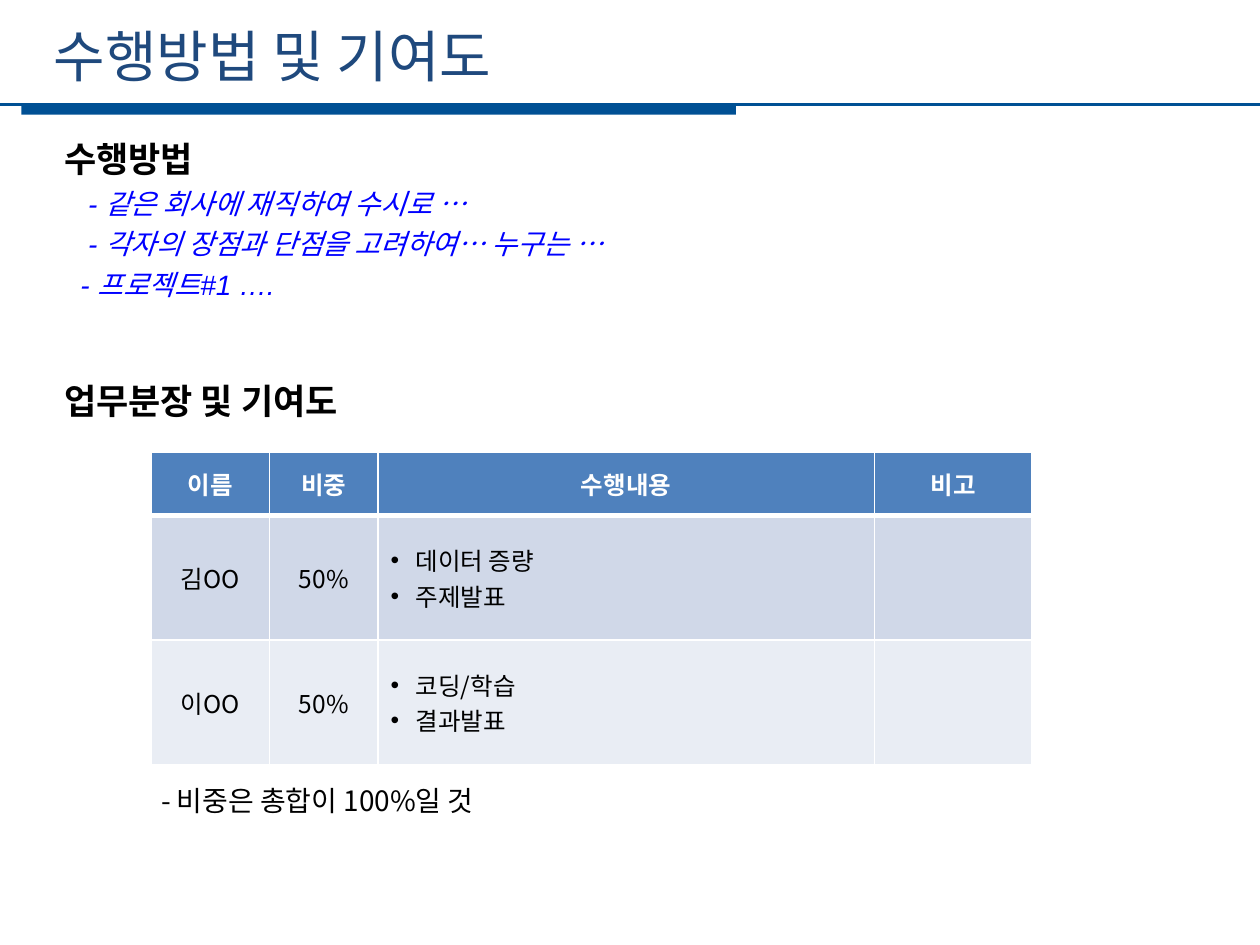
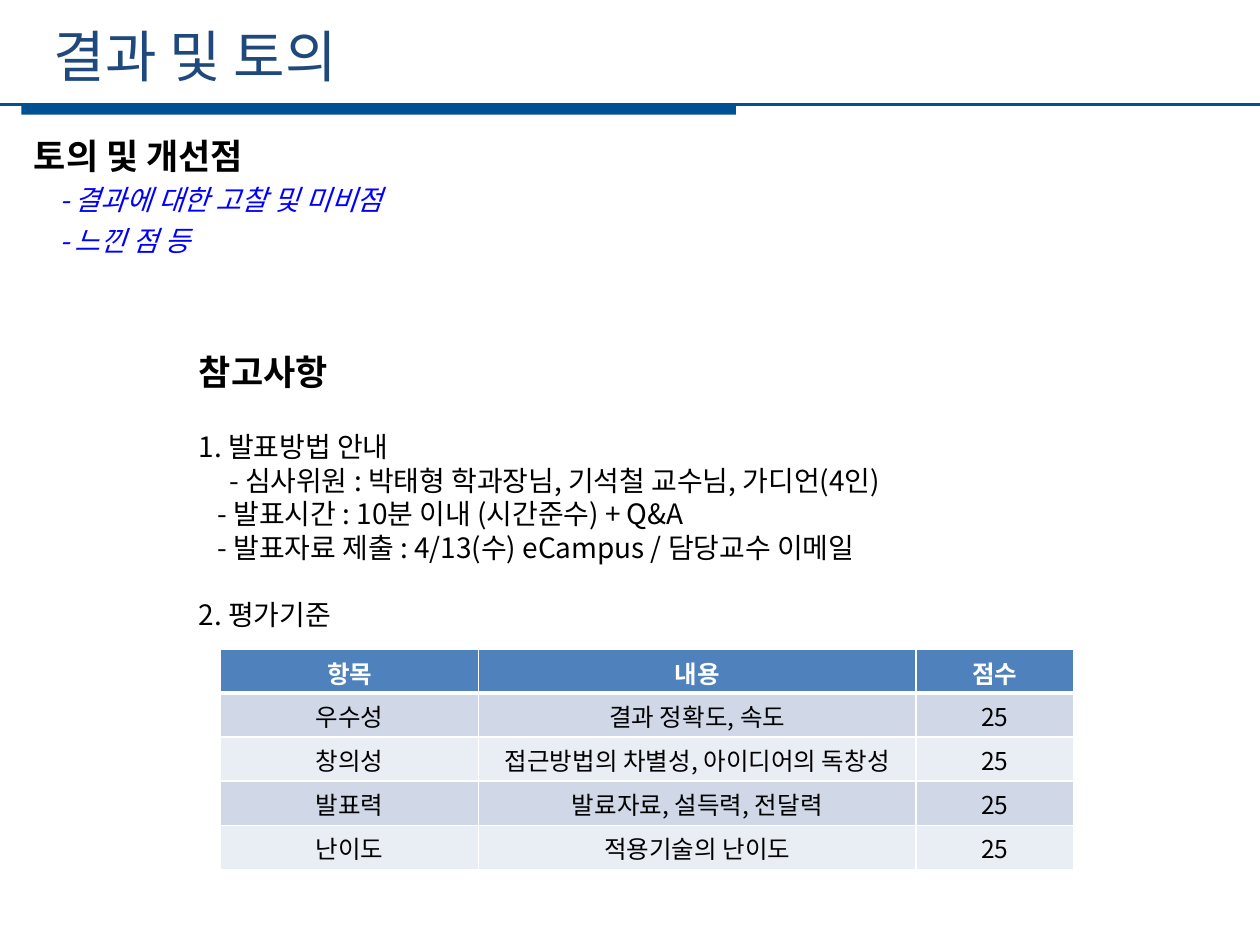
from lxml.etree import SubElement
from pptx import Presentation
from pptx.dml.color import RGBColor
from pptx.enum.shapes import MSO_CONNECTOR, MSO_SHAPE
from pptx.enum.text import MSO_ANCHOR, PP_ALIGN
from pptx.oxml import parse_xml
from pptx.oxml.ns import nsdecls, qn
from pptx.util import Inches, Pt

NAVY = RGBColor(0x1F, 0x49, 0x7D)
BAND = RGBColor(0x00, 0x50, 0x94)
HEAD = RGBColor(0x4F, 0x81, 0xBD)
ODD = RGBColor(0xD0, 0xD8, 0xE8)
EVEN = RGBColor(0xE9, 0xED, 0xF4)
WHITE = RGBColor(0xFF, 0xFF, 0xFF)
BLACK = RGBColor(0, 0, 0)
BLUE = RGBColor(0, 0, 0xFF)
NOTO = "Noto Sans CJK KR"
ARIAL = "Arial"


class Deck:
    def __init__(self):
        self.prs = Presentation()
        self.prs.slide_width = Inches(10)
        self.prs.slide_height = Inches(7.5)
        self.slide = None

    def page(self, title):
        self.slide = self.prs.slides.add_slide(self.prs.slide_layouts[6])
        shapes = self.slide.shapes
        bar = shapes.add_shape(MSO_SHAPE.RECTANGLE, Inches(0.17), Inches(0.83),
                               Inches(5.67), Inches(0.08))
        bar.shadow.inherit = False
        bar.fill.solid()
        bar.fill.fore_color.rgb = BAND
        bar.line.fill.background()
        rule = shapes.add_connector(MSO_CONNECTOR.STRAIGHT, 0, Inches(0.83),
                                    Inches(10), Inches(0.83))
        rule.line.color.rgb = BAND
        rule.line.width = Pt(1.25)
        SubElement(rule._element.spPr, qn("a:effectLst"))
        self.para(self.box(0.33, 0.12, 8.96, 0.64), title, 32, NAVY)

    def box(self, left, top, width, height):
        shape = self.slide.shapes.add_textbox(
            Inches(left), Inches(top), Inches(width), Inches(height))
        shape.text_frame.word_wrap = True
        return shape.text_frame

    def para(self, frame, text, size, color=BLACK, bold=False, italic=False,
             font=NOTO, pitch=None, before=0, left=0):
        para = frame.paragraphs[0]
        if para.runs:
            para = frame.add_paragraph()
        para.space_before = Pt(before)
        if pitch:
            para.line_spacing = Pt(pitch)
        if left:
            para._p.get_or_add_pPr().set("marL", str(Inches(left)))
        run = para.add_run()
        run.text = text
        run.font.size = Pt(size)
        run.font.name = font
        run.font.bold = bold
        run.font.italic = italic
        run.font.color.rgb = color
        SubElement(run._r.rPr, qn("a:ea")).set("typeface", NOTO)
        return para

    def topic(self, frame, text, **more):
        self.para(frame, text, 20, bold=True, **more)

    def hint(self, frame, text, left, font=NOTO):
        self.para(frame, text, 16, BLUE, italic=True, font=font,
                  pitch=23, left=left)

    def bullet(self, para):
        props = para._p.get_or_add_pPr()
        props.set("marL", str(Inches(0.2)))
        props.set("indent", str(-Inches(0.2)))
        SubElement(props, qn("a:buFont")).set("typeface", ARIAL)
        SubElement(props, qn("a:buChar")).set("char", "•")

    def edges(self, cell, base):
        props = cell._tc.get_or_add_tcPr()
        for spot, side in enumerate("LRTB"):
            width = Pt(base if side == "B" else 1)
            props.insert(spot, parse_xml(
                f'<a:ln{side} {nsdecls("a")} w="{width}"><a:solidFill>'
                f'<a:srgbClr val="{WHITE}"/></a:solidFill></a:ln{side}>'))

    def table(self, left, top, cols, rows, data, tight=False):
        grid = self.slide.shapes.add_table(
            len(rows), len(cols), Inches(left), Inches(top),
            Inches(sum(cols)), Inches(sum(rows))).table
        for col, width in zip(grid.columns, cols):
            col.width = Inches(width)
        for row, height in zip(grid.rows, rows):
            row.height = Inches(height)
        for r, line in enumerate(data):
            for c, item in enumerate(line):
                cell = grid.cell(r, c)
                cell.fill.solid()
                cell.fill.fore_color.rgb = (EVEN if r % 2 == 0 else ODD) if r else HEAD
                self.edges(cell, 1 if r else 3)
                if r or not tight:
                    cell.vertical_anchor = MSO_ANCHOR.MIDDLE
                if r and tight:
                    cell.margin_left = cell.margin_right = Inches(0.01)
                    cell.margin_top = Inches(0.01)
                    cell.margin_bottom = 0
                many = isinstance(item, list)
                for text in item if many else [item]:
                    if not text:
                        continue
                    para = self.para(cell.text_frame, text, 14,
                                     BLACK if r else WHITE, bold=r == 0)
                    if many:
                        self.bullet(para)
                    else:
                        para.alignment = PP_ALIGN.CENTER


def work(deck):
    deck.page("수행방법 및 기여도")
    body = deck.box(0.41, 1.06, 9.12, 2.36)
    deck.topic(body, "수행방법", font=ARIAL, pitch=23)
    deck.hint(body, "- 같은 회사에 재직하여 수시로 …", 0.19, ARIAL)
    deck.hint(body, "- 각자의 장점과 단점을 고려하여… 누구는 …", 0.19, ARIAL)
    deck.hint(body, "- 프로젝트#1 ….", 0.13, ARIAL)
    deck.topic(body, "업무분장 및 기여도", font=ARIAL, pitch=23, before=46)
    deck.table(1.2, 3.59, [0.94, 0.86, 3.94, 1.25], [0.5, 0.99, 0.99], [
        ["이름", "비중", "수행내용", "비고"],
        ["김OO", "50%", ["데이터 증량", "주제발표"], ""],
        ["이OO", "50%", ["코딩/학습", "결과발표"], ""],
    ])
    deck.para(deck.box(1.18, 6.17, 4, 0.37), "- 비중은 총합이 100%일 것", 16)


def result(deck):
    deck.page("결과 및 토의")
    body = deck.box(0.17, 1.03, 9.52, 1.04)
    deck.topic(body, "토의 및 개선점", pitch=23)
    deck.hint(body, "- 결과에 대한 고찰 및 미비점", 0.2)
    deck.hint(body, "- 느낀 점 등", 0.2)
    notes = deck.box(1.48, 2.73, 7.24, 2.42)
    deck.topic(notes, "참고사항", pitch=24)
    for text, left, before in [
        ("1. 발표방법 안내", 0, 21.5),
        ("- 심사위원 : 박태형 학과장님, 기석철 교수님, 가디언(4인)", 0.24, 0),
        ("- 발표시간 : 10분 이내 (시간준수) + Q&A", 0.15, 0),
        ("- 발표자료 제출 : 4/13(수) eCampus / 담당교수 이메일", 0.15, 0),
        ("2. 평가기준", 0, 19.2),
    ]:
        deck.para(notes, text, 16, pitch=19.2, before=before, left=left)
    deck.table(1.75, 5.15, [2.05, 3.47, 1.25], [0.35] * 5, [
        ["항목", "내용", "점수"],
        ["우수성", "결과 정확도, 속도", "25"],
        ["창의성", "접근방법의 차별성, 아이디어의 독창성", "25"],
        ["발표력", "발료자료, 설득력, 전달력", "25"],
        ["난이도", "적용기술의 난이도", "25"],
    ], tight=True)


def main():
    deck = Deck()
    work(deck)
    result(deck)
    deck.prs.save("out.pptx")


if __name__ == "__main__":
    main()
